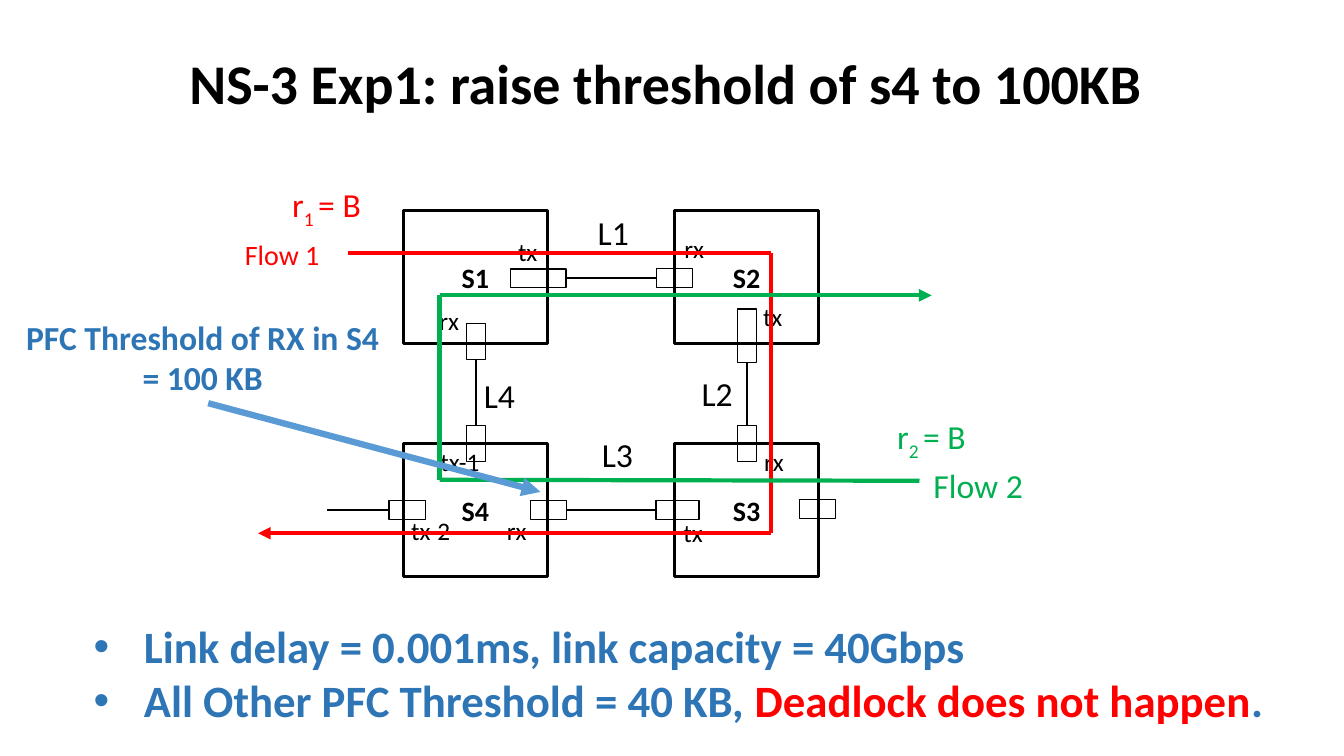
"""Build the slide on the NS-3 threshold experiment."""
from dataclasses import dataclass
from itertools import pairwise

from lxml import etree
from pptx import Presentation
from pptx.dml.color import RGBColor
from pptx.enum import shapes, text
from pptx.oxml import ns
from pptx.util import Inches, Pt


@dataclass(frozen=True)
class Theme:
    """Font, colours and sizes of the slide."""
    font: str = "Calibri"
    black: str = "000000"
    red: str = "FF0000"
    green: str = "00B050"
    blue: str = "2E75B6"
    pointer: str = "5B9BD5"
    title: int = 40
    bullet: int = 32
    label: int = 24
    name: int = 20
    port: int = 18


THEME = Theme()
TOP, LEFT, BOTTOM, RIGHT = range(4)


def style_line(line, color, width):
    """Give a line its colour and width in points."""
    line.color.rgb = RGBColor.from_string(color)
    line.width = Pt(width)


def add_span(para, words, size, color, bold=False, subscript=False):
    """Add a formatted run to a paragraph."""
    span = para.add_run()
    span.text = words
    span.font.name = THEME.font
    span.font.size = Pt(size)
    span.font.bold = bold
    span.font.color.rgb = RGBColor.from_string(color)
    if subscript:
        span.font._element.set("baseline", "-25000")


def add_label(page, words, left, top, width, height, size=THEME.label,
              color=THEME.black, bold=False, wrap=False, align=None):
    """Add a text box; words may be empty so that spans follow."""
    box = page.shapes.add_textbox(Inches(left), Inches(top),
                                  Inches(width), Inches(height))
    frame = box.text_frame
    frame.word_wrap = wrap
    frame.auto_size = text.MSO_AUTO_SIZE.SHAPE_TO_FIT_TEXT
    frame.paragraphs[0].alignment = align
    if words:
        add_span(frame.paragraphs[0], words, size, color, bold)
    return box


def add_rate(page, index, left, top, color):
    """Add a flow rate with a subscript index."""
    para = add_label(page, "", left, top, 0.91, 0.5).text_frame.paragraphs[0]
    add_span(para, "r", THEME.label, color)
    add_span(para, f"{index} ", THEME.label, color, subscript=True)
    add_span(para, "= B", THEME.label, color)


def add_rectangle(page, left, top, width, height, weight):
    """Add an unfilled black rectangle."""
    box = page.shapes.add_shape(shapes.MSO_SHAPE.RECTANGLE, Inches(left), Inches(top),
                                Inches(width), Inches(height))
    box.shadow.inherit = False
    box.fill.background()
    style_line(box.line, THEME.black, weight)
    return box


def add_switch(page, name, left, top):
    """Add a named switch."""
    frame = add_rectangle(page, left, top, 1.43, 1.32, 2.25).text_frame
    frame.vertical_anchor = text.MSO_ANCHOR.MIDDLE
    frame.paragraphs[0].alignment = text.PP_ALIGN.CENTER
    add_span(frame.paragraphs[0], name, THEME.name, THEME.black, bold=True)


def add_port(page, center_x, center_y, width, height):
    """Add a port around its centre."""
    return add_rectangle(page, center_x - width / 2, center_y - height / 2,
                         width, height, 1)


def add_line(page, start, end, color, width, arrow=False):
    """Add a line between points or (shape, side) pairs."""
    joined = [hasattr(place[0], "shape_id") for place in (start, end)]
    points = [(0, 0) if join else (Inches(place[0]), Inches(place[1]))
              for place, join in zip((start, end), joined)]
    line = page.shapes.add_connector(shapes.MSO_CONNECTOR.STRAIGHT,
                                     *points[0], *points[1])
    if joined[0]:
        line.begin_connect(*start)
    if joined[1]:
        line.end_connect(*end)
    style_line(line.line, color, width)
    if arrow:
        outline = line._element.spPr.find(ns.qn("a:ln"))
        etree.SubElement(outline, ns.qn("a:tailEnd"), type="triangle")
    etree.SubElement(line._element.spPr, ns.qn("a:effectLst"))


def add_flow(page, points, color):
    """Add a route of straight legs that ends in an arrowhead."""
    for start, end in pairwise(points):
        add_line(page, start, end, color, 3, arrow=end == points[-1])


def add_bullets(page, items, left, top, width, height):
    """Add bold bullets, each a list of (words, colour)."""
    frame = add_label(page, "", left, top, width, height).text_frame
    for number, spans in enumerate(items):
        para = frame.add_paragraph() if number else frame.paragraphs[0]
        properties = para._p.get_or_add_pPr()
        properties.set("marL", str(Inches(0.5)))
        properties.set("indent", str(Inches(-0.5)))
        etree.SubElement(properties, ns.qn("a:buFont"), typeface="Arial")
        etree.SubElement(properties, ns.qn("a:buChar"), char="•")
        for words, color in spans:
            add_span(para, words, THEME.bullet, color, bold=True)


def add_network(page):
    """Add the switches, their ports and the links between them."""
    for name, left, top in (("S1", 4, 2.09), ("S2", 6.69, 2.09),
                            ("S3", 6.69, 4.4), ("S4", 4, 4.4)):
        add_switch(page, name, left, top)
    links = (
        ((5.34, 2.76, 0.55, 0.18), RIGHT, (6.69, 2.76, 0.36, 0.19), LEFT),
        ((5.44, 5.06, 0.36, 0.19), RIGHT, (6.72, 5.06, 0.43, 0.19), LEFT),
        ((7.41, 4.4, 0.19, 0.36), TOP, (7.41, 3.33, 0.19, 0.53), BOTTOM),
        ((4.72, 4.4, 0.19, 0.36), TOP, (4.72, 3.39, 0.19, 0.36), BOTTOM),
    )
    for first, first_side, second, second_side in links:
        add_line(page, (add_port(page, *first), first_side),
                 (add_port(page, *second), second_side), THEME.black, 1.5)
    exit_port = add_port(page, 4.04, 5.06, 0.36, 0.19)
    add_line(page, (3.24, 5.06), (exit_port, LEFT), THEME.black, 1.5)
    add_port(page, 8.11, 5.05, 0.36, 0.19)


def add_network_labels(page):
    """Name the ports and the links."""
    ports = (("rx", 4.26, 2.98), ("tx", 5.04, 2.3), ("rx", 6.69, 2.27),
             ("rx", 7.48, 4.38), ("rx", 4.93, 5.06), ("tx", 7.47, 2.94),
             ("tx-1", 4.27, 4.38), ("tx", 6.68, 5.08), ("tx-2", 3.98, 5.06))
    for words, left, top in ports:
        add_label(page, words, left, top, 0.4 if len(words) == 2 else 0.6, 0.4,
                  size=THEME.port)
    for words, left, top in (("L1", 5.83, 2.05), ("L2", 6.86, 3.65),
                             ("L3", 5.87, 4.26), ("L4", 4.7, 3.67)):
        add_label(page, words, left, top, 0.51, 0.5)


def main():
    """Build and save the deck."""
    deck = Presentation()
    deck.slide_width, deck.slide_height = Inches(13.33), Inches(7.5)
    page = deck.slides.add_slide(deck.slide_layouts[6])
    add_label(page, "NS-3 Exp1: raise threshold of s4 to 100KB", 0.29, 0.43, 12.62, 0.77,
              size=THEME.title, bold=True, wrap=True, align=text.PP_ALIGN.CENTER)
    add_network(page)
    add_network_labels(page)
    add_flow(page, [(3.45, 2.51), (7.65, 2.51), (7.65, 5.29), (2.56, 5.29)], THEME.red)
    add_flow(page, [(9.12, 4.77), (4.36, 4.76), (4.36, 2.93), (9.24, 2.93)], THEME.green)
    add_label(page, "Flow 1", 2.33, 2.31, 0.95, 0.44, size=THEME.name, color=THEME.red)
    add_label(page, "Flow 2", 9.16, 4.56, 1.09, 0.5, color=THEME.green)
    add_rate(page, 1, 2.8, 1.78, THEME.red)
    add_rate(page, 2, 8.8, 4.08, THEME.green)
    note = add_label(page, "PFC Threshold of RX in S4", 0.16, 3.09, 3.81, 0.91,
                     color=THEME.blue, bold=True)
    para = note.text_frame.add_paragraph()
    para.alignment = text.PP_ALIGN.CENTER
    add_span(para, "= 100 KB", THEME.label, THEME.blue, bold=True)
    add_line(page, (note, BOTTOM), (5.36, 4.88), THEME.pointer, 4.5, arrow=True)
    add_bullets(page, [
        [("Link delay = 0.001ms, link capacity = 40Gbps", THEME.blue)],
        [("All Other PFC Threshold = 40 KB, ", THEME.blue),
         ("Deadlock does not happen", THEME.red), (".", THEME.blue)],
    ], 0.83, 6.09, 11.9, 1.18)
    deck.save("out.pptx")


if __name__ == "__main__":
    main()
